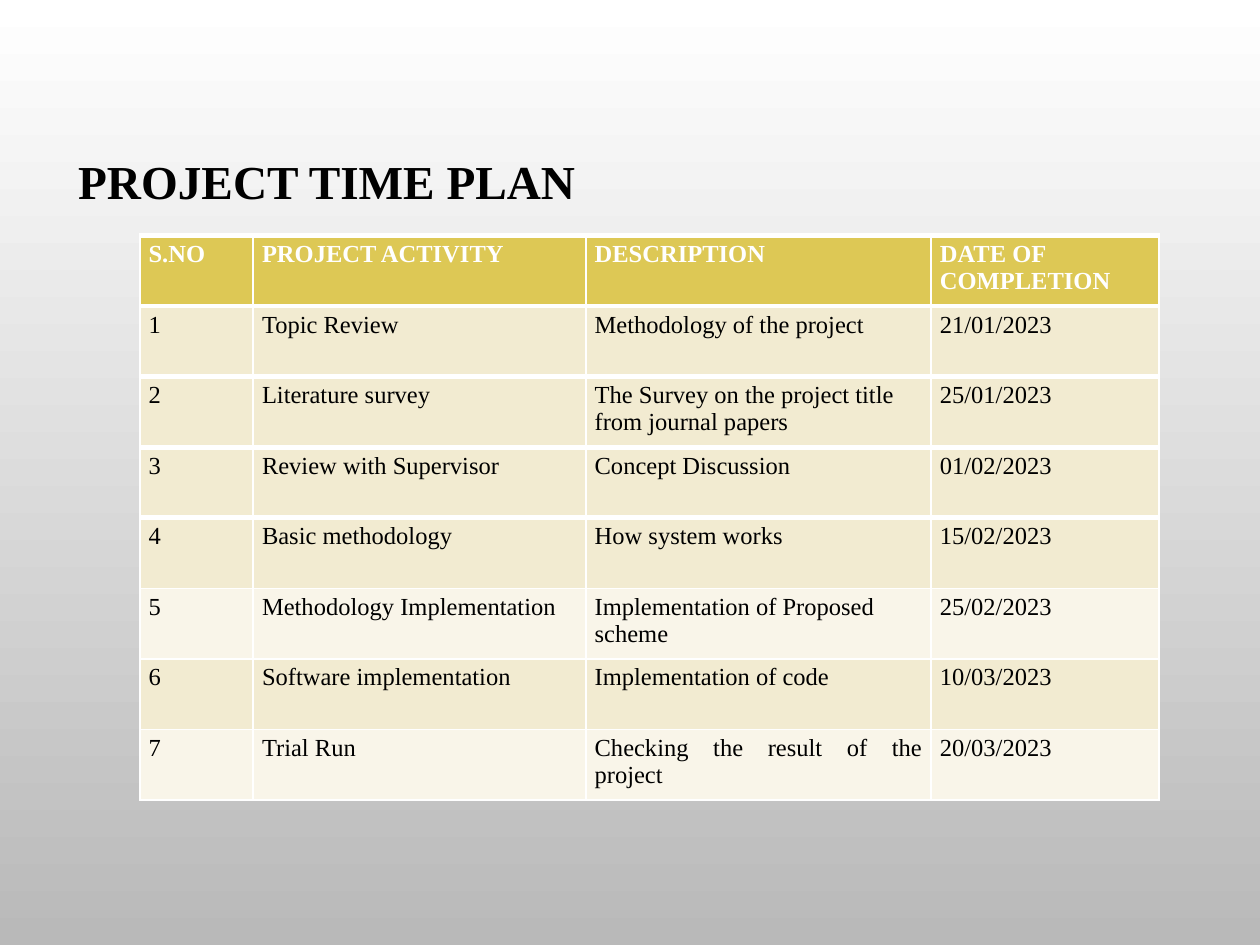
from dataclasses import astuple, dataclass

from pptx import Presentation
from pptx.dml.color import RGBColor
from pptx.enum.text import MSO_ANCHOR as Anchor, MSO_AUTO_SIZE as AutoSize, PP_ALIGN as Align
from pptx.oxml import parse_xml
from pptx.oxml.ns import nsdecls
from pptx.util import Inches, Pt

FONT = "Times New Roman"
WHITE, BLACK, GREY = "FFFFFF", "000000", "B9B9B9"
GOLD, SAND, CREAM = "DDC855", "F2EBD1", "F9F5E9"
THIN, THICK = 1, 3

COLUMN_WIDTHS = (0.9, 2.64, 2.74, 1.81)
ROW_HEIGHT = 0.56
TABLE_LEFT, TABLE_TOP = 1.11, 1.87


@dataclass(frozen=True)
class PlanRow:
    number: str
    activity: str
    description: str
    date: str


HEADER = PlanRow("S.NO", "PROJECT ACTIVITY", "DESCRIPTION", "DATE OF COMPLETION")
STEPS = (
    PlanRow("1", "Topic Review", "Methodology of the project", "21/01/2023"),
    PlanRow("2", "Literature survey",
            "The Survey on the project title from journal papers", "25/01/2023"),
    PlanRow("3", "Review with Supervisor", "Concept Discussion", "01/02/2023"),
    PlanRow("4", "Basic methodology", "How system works", "15/02/2023"),
    PlanRow("5", "Methodology Implementation",
            "Implementation of Proposed scheme", "25/02/2023"),
    PlanRow("6", "Software implementation", "Implementation of code", "10/03/2023"),
    PlanRow("7", "Trial Run", "Checking the result of the project", "20/03/2023"),
)
LEFT_ALIGNED = {HEADER.date, STEPS[1].description, STEPS[4].description}
FIRST_THIN_ROW = 5  # rows from here on have thin rules and alternate fills


def color(value: str) -> RGBColor:
    return RGBColor.from_string(value)


def style_font(font, size: float, value: str, bold: bool) -> None:
    font.name, font.size, font.bold = FONT, Pt(size), bold
    font.color.rgb = color(value)


def set_borders(cell, top: float, bottom: float) -> None:
    properties = cell._tc.get_or_add_tcPr()
    sides = (("L", THIN), ("R", THIN), ("T", top), ("B", bottom))
    for position, (side, width) in enumerate(sides):
        properties.insert(position, parse_xml(
            f'<a:ln{side} {nsdecls("a")} w="{Pt(width)}"><a:solidFill>'
            f'<a:srgbClr val="{WHITE}"/></a:solidFill></a:ln{side}>'))


def row_fill(index: int) -> str:
    if index == 0:
        return GOLD
    return CREAM if index >= FIRST_THIN_ROW and index % 2 else SAND


def fill_cell(cell, text: str, row: int) -> None:
    cell.text = text
    cell.margin_left = cell.margin_right = Inches(0.07)
    cell.margin_top = cell.margin_bottom = Inches(0.04)
    cell.fill.solid()
    cell.fill.fore_color.rgb = color(row_fill(row))
    set_borders(cell, THICK if row < FIRST_THIN_ROW else THIN,
                THICK if row < FIRST_THIN_ROW - 1 else THIN)
    paragraph = cell.text_frame.paragraphs[0]
    paragraph.alignment = Align.LEFT if text in LEFT_ALIGNED else Align.JUSTIFY
    style_font(paragraph.font, 14, WHITE if row == 0 else BLACK, row == 0)


def add_plan_table(slide, rows: tuple[PlanRow, ...]) -> None:
    table = slide.shapes.add_table(
        len(rows), len(COLUMN_WIDTHS), Inches(TABLE_LEFT), Inches(TABLE_TOP),
        Inches(sum(COLUMN_WIDTHS)), Inches(ROW_HEIGHT * len(rows))).table
    for column, width in zip(table.columns, COLUMN_WIDTHS):
        column.width = Inches(width)
    for index, row in enumerate(rows):
        table.rows[index].height = Inches(ROW_HEIGHT)
        for column, text in enumerate(astuple(row)):
            fill_cell(table.cell(index, column), text, index)


def set_title(slide, text: str) -> None:
    title = slide.shapes.title
    title.left, title.top = Inches(0.52), Inches(1.16)
    title.width, title.height = Inches(5), Inches(0.56)
    frame = title.text_frame
    frame.text = text
    frame.word_wrap = True
    frame.auto_size = AutoSize.SHAPE_TO_FIT_TEXT
    frame.vertical_anchor = Anchor.TOP
    paragraph = frame.paragraphs[0]
    paragraph.alignment = Align.LEFT
    style_font(paragraph.font, 27, BLACK, True)


def set_background(slide, top: str, bottom: str) -> None:
    fill = slide.background.fill
    fill.gradient()
    fill.gradient_angle = 270
    for stop, value in zip(fill.gradient_stops, (top, bottom)):
        stop.color.rgb = color(value)


def main() -> None:
    presentation = Presentation()
    presentation.slide_width, presentation.slide_height = Inches(10), Inches(7.5)
    slide = presentation.slides.add_slide(presentation.slide_layouts[5])  # title only
    set_background(slide, WHITE, GREY)
    set_title(slide, "PROJECT TIME PLAN")
    add_plan_table(slide, (HEADER, *STEPS))
    presentation.save("out.pptx")


if __name__ == "__main__":
    main()
